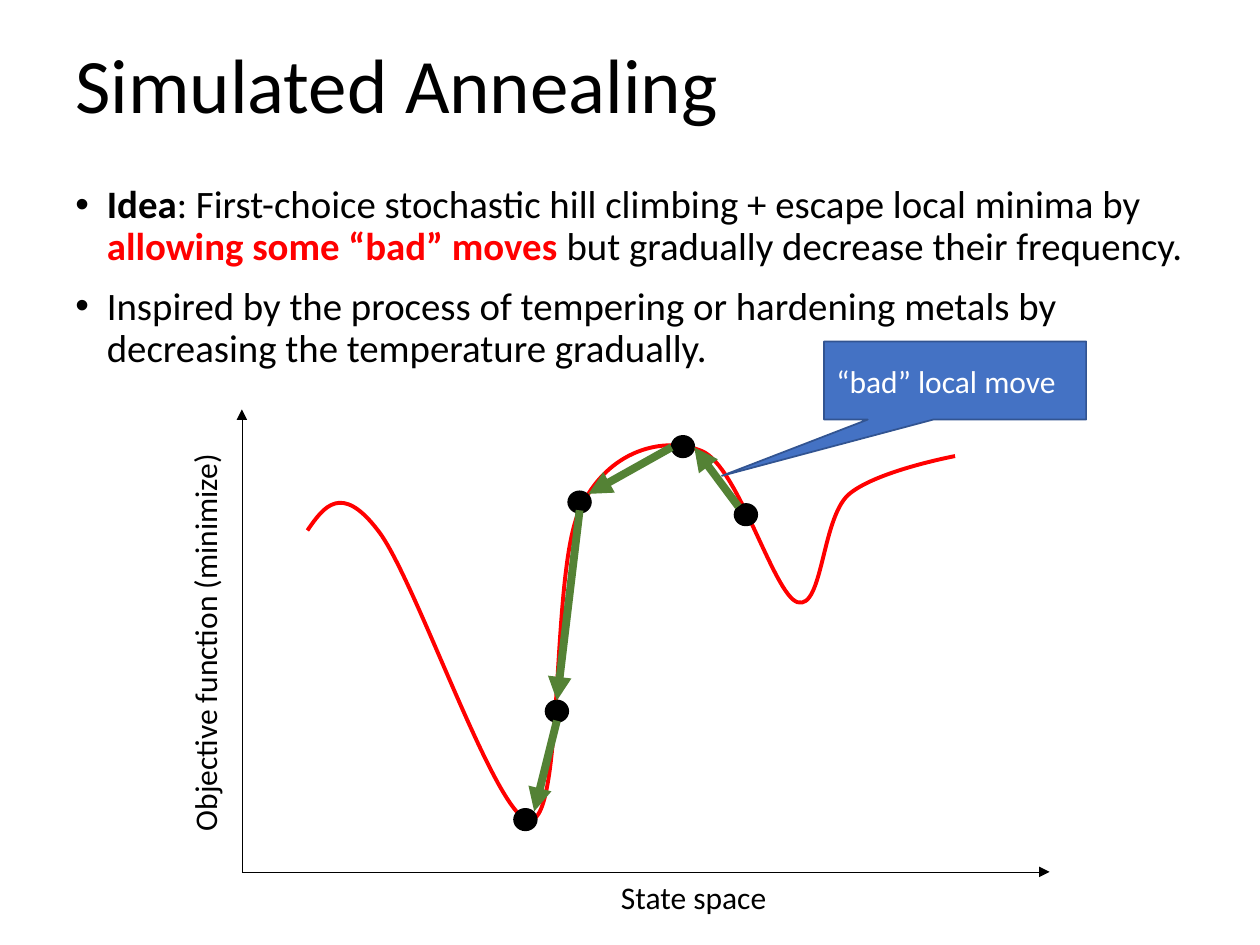
from lxml import etree
from pptx import Presentation
from pptx.dml.color import RGBColor
from pptx.enum.shapes import MSO_CONNECTOR, MSO_SHAPE
from pptx.enum.text import MSO_ANCHOR, PP_ALIGN
from pptx.oxml.ns import qn
from pptx.util import Inches, Pt

COLORS = {
    "text": "000000", "curve": "FF0000", "move": "548235",
    "callout": "4472C4", "callout_line": "325491", "white": "FFFFFF",
}
RGB = {name: RGBColor.from_string(value) for name, value in COLORS.items()}
FONT = "Calibri"


def add_runs(paragraph, runs, size):
    """Add (text, colour name, bold) runs to a paragraph."""
    for text, color_name, bold in runs:
        run = paragraph.add_run()
        run.text = text
        run.font.name = FONT
        run.font.size = Pt(size)
        run.font.bold = bold
        run.font.color.rgb = RGB[color_name]


def add_arrow(begin, end, color_name):
    """Add a straight line with a triangle at its end and no theme style."""
    arrow = slide.shapes.add_connector(MSO_CONNECTOR.STRAIGHT,
                                       *(Inches(value) for value in begin + end))
    arrow._element.remove(arrow._element.find(qn("p:style")))
    arrow.line.color.rgb = RGB[color_name]
    line = arrow._element.spPr.find(qn("a:ln"))
    etree.SubElement(line, qn("a:tailEnd")).set("type", "triangle")
    etree.SubElement(arrow._element.spPr, qn("a:effectLst"))
    return arrow


presentation = Presentation()
presentation.slide_width = Inches(10)
presentation.slide_height = Inches(7.5)
slide = presentation.slides.add_slide(presentation.slide_layouts[6])
shapes = slide.shapes

# Title
title = shapes.add_textbox(Inches(0.5), Inches(0.08), Inches(9), Inches(1.25))
title.text_frame.word_wrap = True
title.text_frame.vertical_anchor = MSO_ANCHOR.MIDDLE
title.text_frame.paragraphs[0].line_spacing = 0.9
add_runs(title.text_frame.paragraphs[0], [("Simulated Annealing", "text", False)], 44)

# Bullets
bullets = [
    [("Idea", "text", True),
     (": First-choice stochastic hill climbing + escape local minima by ", "text", False),
     ("allowing some “bad” moves ", "curve", True),
     ("but gradually decrease their frequency.", "text", False)],
    [("Inspired by the process of tempering or hardening metals by "
      "decreasing the temperature gradually.", "text", False)],
]
body = shapes.add_textbox(Inches(0.5), Inches(1.42), Inches(9), Inches(1.58))
body.text_frame.word_wrap = True
for index, runs in enumerate(bullets):
    paragraph = body.text_frame.add_paragraph() if index else body.text_frame.paragraphs[0]
    paragraph.line_spacing = 0.9
    paragraph.space_before = Pt(10 if index else 0)
    properties = paragraph._p.get_or_add_pPr()
    properties.set("marL", str(Inches(0.25)))
    properties.set("indent", str(-Inches(0.25)))
    etree.SubElement(properties, qn("a:buFont")).set("typeface", "Arial")
    etree.SubElement(properties, qn("a:buChar")).set("char", "•")
    add_runs(paragraph, runs, 22.2)

# Objective curve: the outline's box is built first, then filled with Bézier segments
curve_left, curve_top, curve_right, curve_bottom = 2.44, 3.53, 7.58, 6.51
curve_commands = [
    ("moveTo", [(2.44, 4.21)]),
    ("cubicBezTo", [(2.57, 4.02), (2.71, 3.83), (3, 4.21)]),
    ("cubicBezTo", [(3.3, 4.59), (3.95, 6.54), (4.21, 6.51)]),
    ("cubicBezTo", [(4.48, 6.49), (4.37, 4.54), (4.6, 4.05)]),
    ("cubicBezTo", [(4.82, 3.56), (5.28, 3.46), (5.57, 3.58)]),
    ("cubicBezTo", [(5.86, 3.7), (6.14, 4.72), (6.33, 4.78)]),
    ("cubicBezTo", [(6.53, 4.84), (6.52, 4.13), (6.73, 3.93)]),
    ("cubicBezTo", [(6.94, 3.74), (7.58, 3.62), (7.58, 3.62)]),
    ("lnTo", [(7.58, 3.62)]),
]
builder = shapes.build_freeform(Inches(curve_left), Inches(curve_top))
builder.add_line_segments([(Inches(curve_right), Inches(curve_bottom))], close=False)
curve = builder.convert_to_shape()
outline = next(curve._element.iter(qn("a:path")))
for command in list(outline):
    outline.remove(command)
for name, points in curve_commands:
    command = etree.SubElement(outline, qn(f"a:{name}"))
    for x, y in points:
        point = etree.SubElement(command, qn("a:pt"))
        point.set("x", str(Inches(x) - Inches(curve_left)))
        point.set("y", str(Inches(y) - Inches(curve_top)))
curve.shadow.inherit = False
curve.fill.background()
curve.line.color.rgb = RGB["curve"]
curve.line.width = Pt(2.25)

# Axes
axis_origin = (1.92, 6.92)
for axis_end in [(1.92, 3.25), (8.33, 6.92)]:
    add_arrow(axis_origin, axis_end, "text")

# Axis labels
for text, left, top, width, rotation in [
    ("Objective function (minimize)", 0.01, 4.88, 3.23, 270),
    ("State space", 4.83, 6.92, 3.33, 0),
]:
    label = shapes.add_textbox(Inches(left), Inches(top), Inches(width), Inches(0.4))
    label.rotation = rotation
    label.text_frame.word_wrap = rotation == 0
    add_runs(label.text_frame.paragraphs[0], [(text, "text", False)], 18)

# Callout
callout = shapes.add_shape(MSO_SHAPE.RECTANGULAR_CALLOUT,
                           Inches(6.54), Inches(2.71), Inches(2.08), Inches(0.62))
callout.adjustments[0] = -0.89
callout.adjustments[1] = 1.22
callout.shadow.inherit = False
callout.fill.solid()
callout.fill.fore_color.rgb = RGB["callout"]
callout.line.color.rgb = RGB["callout_line"]
callout.line.width = Pt(1)
callout.text_frame.word_wrap = True
callout.text_frame.vertical_anchor = MSO_ANCHOR.MIDDLE
callout.text_frame.paragraphs[0].alignment = PP_ALIGN.LEFT
add_runs(callout.text_frame.paragraphs[0], [("“bad” local move", "white", False)], 18)

# Visited states
for left, top in [(4.08, 6.42), (5.83, 4), (5.33, 3.46), (4.51, 3.9), (4.33, 5.56)]:
    state = shapes.add_shape(MSO_SHAPE.OVAL, Inches(left), Inches(top),
                             Inches(0.18), Inches(0.17))
    state.shadow.inherit = False
    state.fill.solid()
    state.fill.fore_color.rgb = RGB["text"]
    state.line.color.rgb = RGB["text"]
    state.line.width = Pt(1)

# Moves between states
for begin, end in [
    ((5.33, 3.55), (4.67, 3.92)),
    ((4.6, 4.05), (4.42, 5.56)),
    ((5.86, 4.02), (5.51, 3.55)),
    ((4.42, 5.72), (4.24, 6.44)),
]:
    add_arrow(begin, end, "move").line.width = Pt(4.5)

presentation.save("out.pptx")
